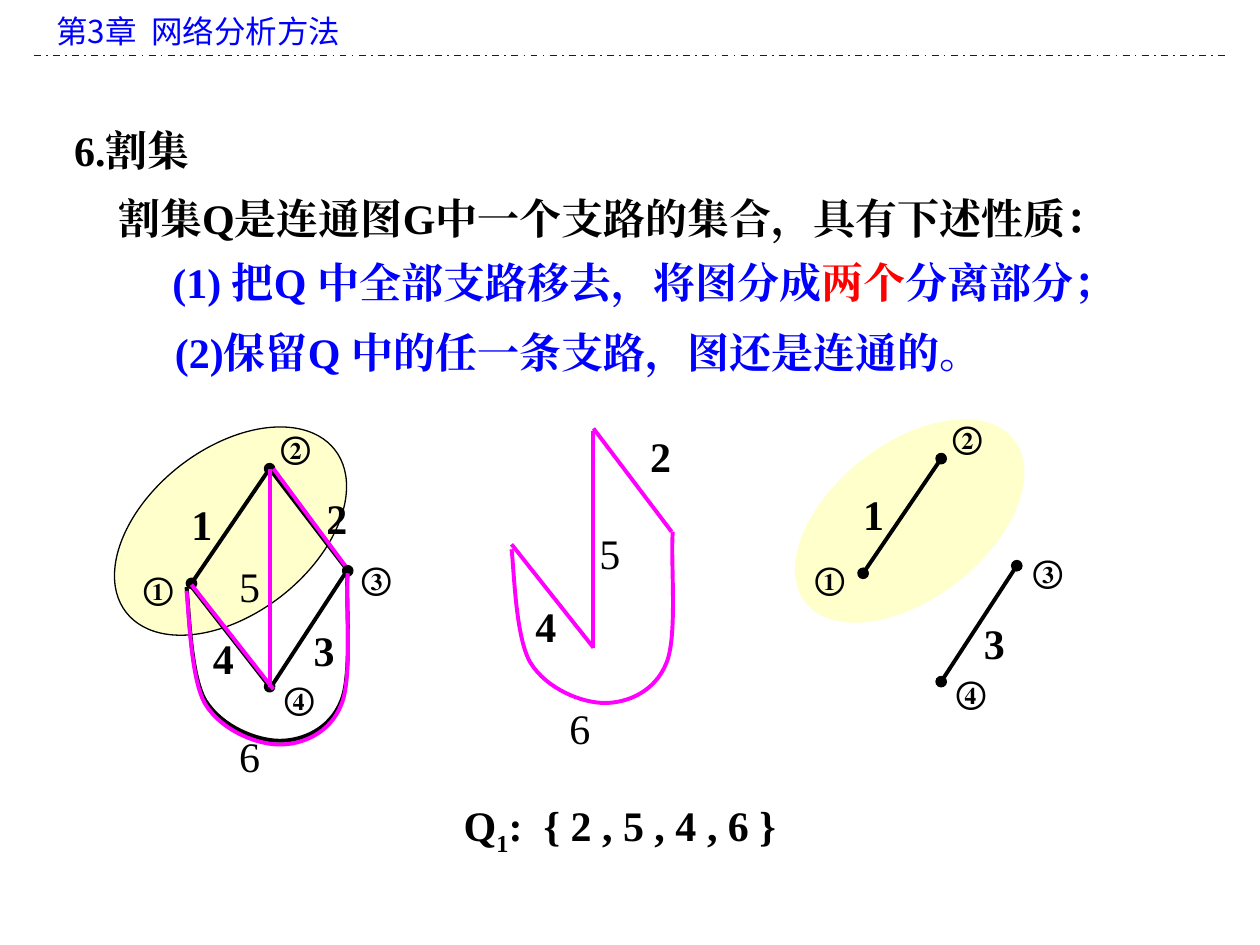
from typing import NamedTuple

from lxml import etree
from pptx import Presentation
from pptx.dml.color import RGBColor
from pptx.enum import dml, shapes, text
from pptx.oxml.ns import qn
from pptx.util import Inches, Pt

BLACK = RGBColor(0, 0, 0)
BLUE = RGBColor(0, 0, 0xFF)
RED = RGBColor(0xFF, 0, 0)
MAGENTA = RGBColor(0xFF, 0, 0xFF)
CREAM = RGBColor(0xFF, 0xFF, 0xCC)
SERIF = "Times New Roman"
SANS = "Noto Sans CJK SC"

# Start point, then three points for each cubic segment, relative to the start.
ARC = [(0, 0), (0.02, 0.15), (0.03, 0.7), (0.15, 0.9),
       (0.28, 1.11), (0.56, 1.22), (0.74, 1.22),
       (0.92, 1.22), (1.14, 1.13), (1.23, 0.9),
       (1.32, 0.68), (1.26, 0.08), (1.28, -0.14)]


class Box(NamedTuple):
    x: float
    y: float
    w: float
    h: float = 0.5


class Label(NamedTuple):
    text: str
    x: float
    y: float


class Edge(NamedTuple):
    x1: float
    y1: float
    x2: float
    y2: float
    head: bool = False
    tail: bool = False


class LabelStyle(NamedTuple):
    w: float
    h: float
    size: int
    bold: bool
    inset: bool


NODE = LabelStyle(0.25, 0.3, 18, True, False)
BRANCH = LabelStyle(0.17, 0.4, 24, True, False)
LINK = LabelStyle(0.37, 0.5, 24, False, True)


def add_text(s, box: Box, *parts: str, color=BLACK, size=24, bold=True,
             font=SERIF, inset=True, wrap=True, align=None):
    """Add a one-paragraph text box with one run per part; return its runs."""
    tf = s.shapes.add_textbox(*map(Inches, box)).text_frame
    tf.word_wrap = wrap
    if not inset:
        tf.margin_left = tf.margin_right = tf.margin_top = tf.margin_bottom = 0
    p = tf.paragraphs[0]
    p.alignment = align
    p.font.size, p.font.bold, p.font.name = Pt(size), bold, font
    p.font.color.rgb = color
    etree.SubElement(p._p.pPr.find(qn("a:defRPr")), qn("a:ea"), typeface=font)
    runs = []
    for part in parts:
        r = p.add_run()
        r.text = part
        runs.append(r)
    return runs


def add_labels(s, style: LabelStyle, labels: list[Label]) -> None:
    for label in labels:
        add_text(s, Box(label.x, label.y, style.w, style.h), label.text,
                 size=style.size, bold=style.bold, inset=style.inset, wrap=False)


def add_edge(s, edge: Edge, color=BLACK, width=2.25):
    c = s.shapes.add_connector(shapes.MSO_CONNECTOR.STRAIGHT, *map(Inches, edge[:4]))
    c.line.color.rgb, c.line.width = color, Pt(width)
    ln = c.line._get_or_add_ln()
    for tag, dotted in (("a:headEnd", edge.head), ("a:tailEnd", edge.tail)):
        if dotted:
            etree.SubElement(ln, qn(tag), type="oval")
    etree.SubElement(c._element.spPr, qn("a:effectLst"))
    return c


def add_arc(s, x: float, y: float, color: RGBColor) -> None:
    """Draw branch 6 as cubic curves starting at (x, y)."""
    points = [(Inches(x + dx), Inches(y + dy)) for dx, dy in ARC]
    builder = s.shapes.build_freeform(*points[0])
    builder.add_line_segments(points[1:], close=False)
    sp = builder.convert_to_shape()
    sp.shadow.inherit = False
    sp.fill.background()
    sp.line.color.rgb, sp.line.width = color, Pt(2.25)
    outline = sp._element.spPr.find(".//" + qn("a:path"))
    segments = outline.findall(qn("a:lnTo"))
    for i in range(0, len(segments), 3):
        curve = etree.SubElement(outline, qn("a:cubicBezTo"))
        for segment in segments[i:i + 3]:
            curve.append(segment[0])
            outline.remove(segment)


def add_region(s, box: Box, outlined: bool) -> None:
    sp = s.shapes.add_shape(shapes.MSO_SHAPE.OVAL, *map(Inches, box))
    sp.rotation = 322.1
    sp.shadow.inherit = False
    sp.fill.solid()
    sp.fill.fore_color.rgb = CREAM
    if outlined:
        sp.line.color.rgb, sp.line.width = BLACK, Pt(0.75)
    else:
        sp.line.fill.background()


def add_header(s) -> None:
    add_text(s, Box(0.35, 0.05, 9.37, 0.4), "第3章  网络分析方法",
             color=BLUE, size=18, bold=False, font=SANS)
    rule = add_edge(s, Edge(0.27, 0.44, 9.72, 0.44), BLUE, 1)
    rule.line.dash_style = dml.MSO_LINE.DASH_DOT


def add_definition(s) -> None:
    add_text(s, Box(0.49, 0.94, 9.01), "6.割集")
    add_text(s, Box(0.84, 1.48, 8.82), "割集Q是连通图G中一个支路的集合，具有下述性质：")
    runs = add_text(s, Box(1.27, 1.99, 8.38), "(1) 把Q 中全部支路移去，将图分成",
                    "两个", "分离部分；", color=BLUE)
    runs[1].font.color.rgb = RED
    add_text(s, Box(1.29, 2.54, 8.25), "(2)保留Q 中的任一条支路，图还是连通的。", color=BLUE)


def add_full_graph(s) -> None:
    add_region(s, Box(0.78, 3.56, 2.1, 1.31), outlined=True)
    add_labels(s, NODE, [Label("①", 1.14, 4.52), Label("②", 2.23, 3.4),
                         Label("③", 2.87, 4.44), Label("④", 2.26, 5.39)])
    add_labels(s, BRANCH, [Label("1", 1.52, 3.96), Label("2", 2.59, 3.91),
                           Label("3", 2.49, 4.96), Label("4", 1.69, 5.02)])
    add_labels(s, LINK, [Label("5", 1.8, 4.4), Label("6", 1.8, 5.75)])
    for edge in (Edge(2.14, 3.72, 1.52, 4.63, True, True),
                 Edge(1.5, 4.63, 2.14, 5.45, tail=True),
                 Edge(2.14, 3.72, 2.76, 4.53, tail=True),
                 Edge(2.74, 4.55, 2.14, 5.47),
                 Edge(2.14, 3.7, 2.14, 5.42)):
        add_edge(s, edge)
    add_arc(s, 1.48, 4.66, BLACK)
    add_edge(s, Edge(1.5, 4.68, 1.48, 4.68), width=0.75)
    for edge in (Edge(2.17, 3.72, 2.74, 4.49), Edge(2.14, 3.72, 2.14, 5.45),
                 Edge(1.52, 4.64, 2.17, 5.47)):
        add_edge(s, edge, MAGENTA)
    add_arc(s, 1.48, 4.69, MAGENTA)


def add_cut_set(s) -> None:
    add_labels(s, BRANCH, [Label("4", 4.25, 4.77), Label("2", 5.16, 3.42)])
    add_labels(s, LINK, [Label("5", 4.66, 4.14), Label("6", 4.42, 5.53)])
    for edge in (Edge(4.06, 4.32, 4.71, 5.14), Edge(4.71, 3.4, 5.33, 4.22),
                 Edge(4.71, 3.42, 4.71, 5.14)):
        add_edge(s, edge, MAGENTA)
    add_arc(s, 4.06, 4.36, MAGENTA)


def add_separated_parts(s) -> None:
    add_region(s, Box(6.17, 3.52, 2.1, 1.23), outlined=False)
    add_labels(s, NODE, [Label("①", 6.47, 4.44), Label("②", 7.56, 3.32),
                         Label("③", 8.2, 4.38), Label("④", 7.59, 5.34)])
    add_labels(s, BRANCH, [Label("1", 6.85, 3.88), Label("3", 7.81, 4.9)])
    add_edge(s, Edge(7.47, 3.64, 6.85, 4.55, True, True))
    add_edge(s, Edge(8.07, 4.49, 7.47, 5.41, True, True))


def main() -> None:
    prs = Presentation()
    prs.slide_width, prs.slide_height = Inches(10), Inches(7.5)
    s = prs.slides.add_slide(prs.slide_layouts[6])
    add_header(s)
    add_definition(s)
    add_full_graph(s)
    add_cut_set(s)
    add_separated_parts(s)
    runs = add_text(s, Box(1.1, 6.3, 7.64), "Q", "1", ":  { 2 , 5 , 4 , 6 }",
                    align=text.PP_ALIGN.CENTER)
    runs[1].font._element.set("baseline", "-25000")
    prs.save("out.pptx")


if __name__ == "__main__":
    main()
